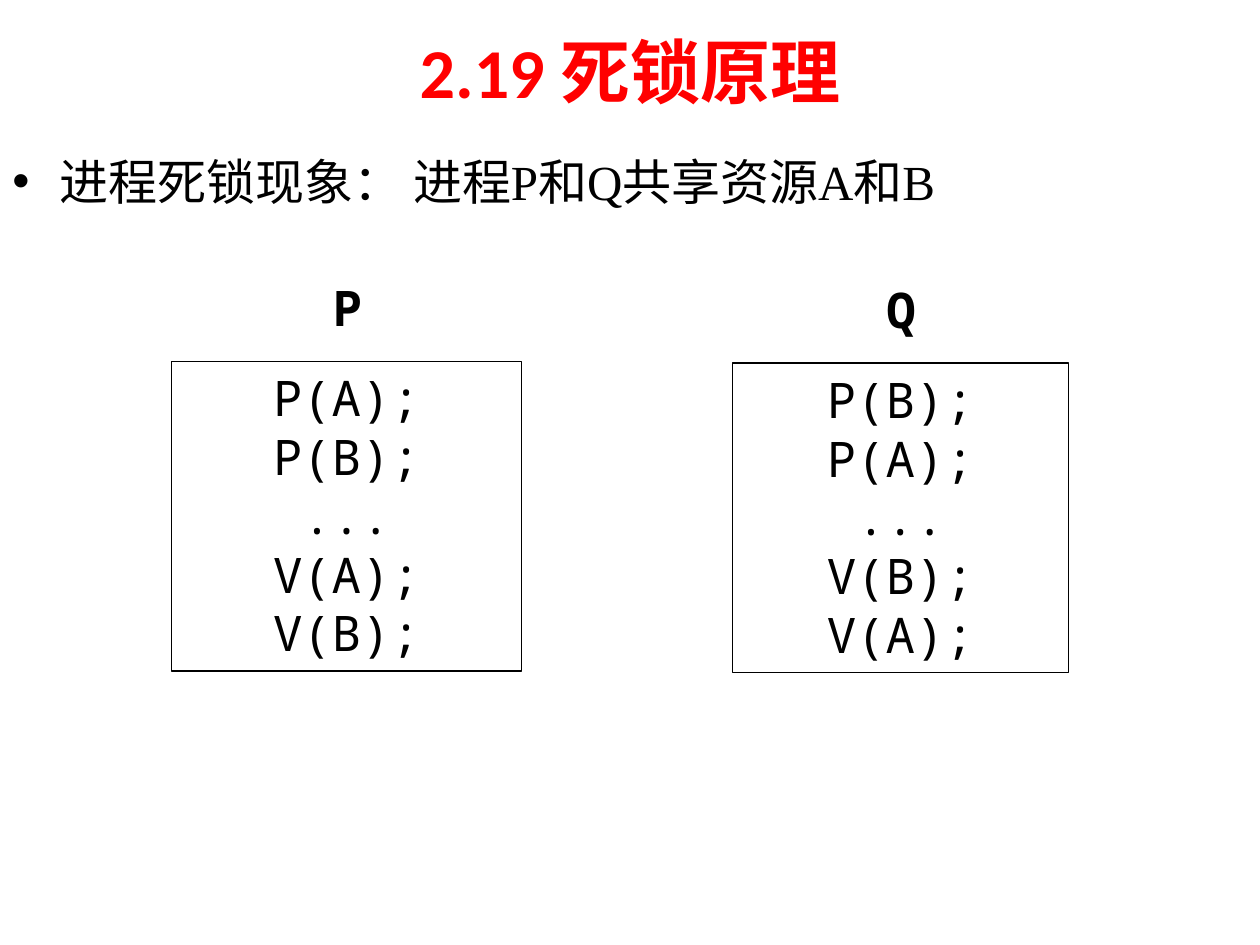
from pptx import Presentation
from pptx import util as u
from pptx.dml.color import RGBColor
from pptx.enum import shapes, text
from pptx.oxml import parse_xml
from pptx.oxml.ns import nsdecls

BLACK = RGBColor(0, 0, 0)
RED = RGBColor(255, 0, 0)
MONO = "Noto Sans Mono"


def write(frame, lines, font=MONO, size=28, color=BLACK, bold=False,
          align=text.PP_ALIGN.CENTER, anchor=text.MSO_ANCHOR.TOP, wrap=True):
    frame.word_wrap = wrap
    frame.vertical_anchor = anchor
    for index, line in enumerate(lines):
        paragraph = frame.add_paragraph() if index else frame.paragraphs[0]
        paragraph.alignment = align
        run = paragraph.add_run()
        run.text = line
        run.font.name = font
        run.font.size = u.Pt(size)
        run.font.bold = bold
        run.font.color.rgb = color


class Deck:
    def __init__(self, slide):
        self.slide = slide
        self.border = 0.75
        self.indent = 27

    def label(self, lines, left, top, width, height, **style):
        box = self.slide.shapes.add_textbox(
            u.Pt(left), u.Pt(top), u.Pt(width), u.Pt(height))
        write(box.text_frame, lines, **style)
        return box

    def bullet(self, line, left, top, width, height, **style):
        box = self.label([line], left, top, width, height,
                         align=text.PP_ALIGN.LEFT, **style)
        paragraph = box.text_frame.paragraphs[0]
        paragraph.space_before = u.Pt(5.6)
        props = paragraph._p.get_or_add_pPr()
        props.set("marL", str(u.Pt(self.indent)))
        props.set("indent", str(-u.Pt(self.indent)))
        props.append(parse_xml(f'<a:buFont {nsdecls("a")} typeface="Arial"/>'))
        props.append(parse_xml(f'<a:buChar {nsdecls("a")} char="•"/>'))

    def code(self, lines, left, top, width, height):
        box = self.slide.shapes.add_shape(
            shapes.MSO_SHAPE.RECTANGLE,
            u.Pt(left), u.Pt(top), u.Pt(width), u.Pt(height))
        box.shadow.inherit = False
        box.fill.background()
        box.line.color.rgb = BLACK
        box.line.width = u.Pt(self.border)
        write(box.text_frame, lines)

    def process(self, name, first, second, left, top, width):
        name_width = 30
        self.label([name], left + (width - name_width) / 2, top, name_width, 41,
                   bold=True, wrap=False)
        steps = [f"P({first});", f"P({second});", "...",
                 f"V({first});", f"V({second});"]
        self.code(steps, left, top + 51.5, width, 177)


def main():
    presentation = Presentation()
    presentation.slide_width = u.Pt(720)
    presentation.slide_height = u.Pt(540)
    deck = Deck(presentation.slides.add_slide(presentation.slide_layouts[6]))
    deck.bullet("进程死锁现象： 进程P和Q共享资源A和B", 0, 83, 720, 408,
                font="Times New Roman")
    deck.process("P", "A", "B", 98, 155, 200)
    deck.process("Q", "B", "A", 418.5, 156, 192)
    deck.label(["2.19 死锁原理"], 36, 3.6, 648, 73.5, font="Calibri", size=40,
               color=RED, bold=True, anchor=text.MSO_ANCHOR.MIDDLE)
    presentation.save("out.pptx")


if __name__ == "__main__":
    main()
